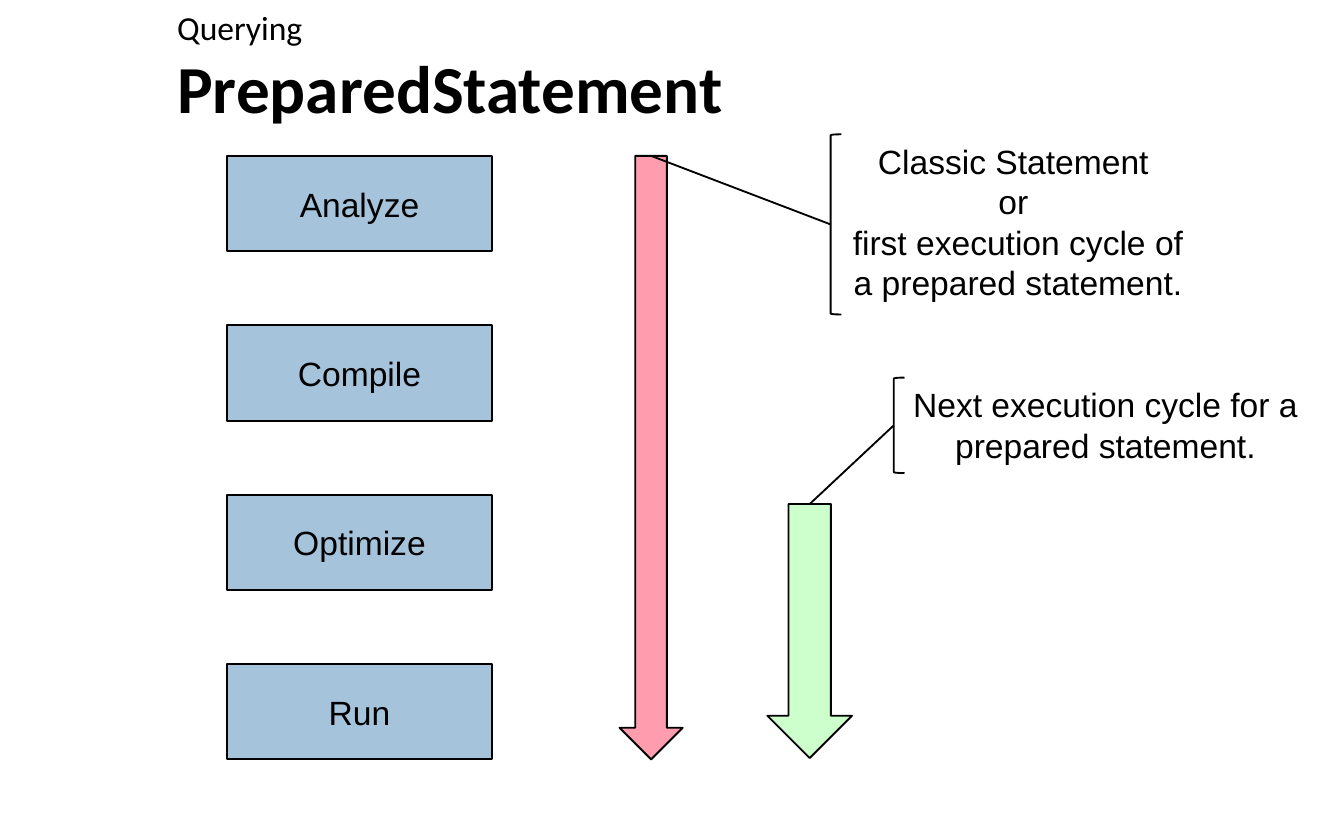
"""Build the PreparedStatement slide: query steps, cycle arrows and their captions."""
from lxml.etree import SubElement
from pptx import Presentation
from pptx.dml.color import RGBColor
from pptx.enum.shapes import MSO_CONNECTOR as Connector, MSO_SHAPE as Shape
from pptx.enum.text import MSO_ANCHOR as Anchor, PP_ALIGN as Align
from pptx.oxml.ns import qn
from pptx.util import Inches, Pt

BLACK = RGBColor(0x00, 0x00, 0x00)
BLUE = RGBColor(0xA5, 0xC3, 0xDB)
PINK = RGBColor(0xFF, 0x9C, 0xAE)
GREEN = RGBColor(0xCC, 0xFF, 0xCC)

HEADINGS = [
    ("PreparedStatement", (1.22, 0.37, 8.51, 0.55), 36, True, Anchor.MIDDLE),
    ("Querying", (1.22, 0, 8.51, 0.37), 18, False, Anchor.TOP),
]
STEPS = ["Analyze", "Compile", "Optimize", "Run"]
STEP_LEFT, STEP_TOP, STEP_WIDTH, STEP_HEIGHT, STEP_PITCH = 1.69, 1.16, 1.97, 0.71, 1.26
CYCLES = [
    {
        "arrow": (4.61, 1.16, 0.47, 4.49),
        "fill": PINK,
        "caption": ["Classic Statement ", "or ",
                    "first execution cycle of a prepared statement."],
        "caption_box": (6.21, 1, 2.73, 1.31),
        "bracket": (6.18, 1, 0.08, 1.34),
    },
    {
        "arrow": (5.71, 3.75, 0.63, 1.89),
        "fill": GREEN,
        "caption": ["Next execution cycle for a prepared statement."],
        "caption_box": (6.65, 2.81, 3.15, 0.71),
        "bracket": (6.65, 2.81, 0.08, 0.71),
    },
]


def write(shape, lines, font_name="Arial", size=18, bold=False,
          align=Align.CENTER, anchor=Anchor.TOP, wrap=True):
    frame = shape.text_frame
    frame.word_wrap = wrap
    frame.vertical_anchor = anchor
    frame.text = "\n".join(lines)
    for paragraph in frame.paragraphs:
        paragraph.alignment = align
        paragraph.font.name = font_name
        paragraph.font.size = Pt(size)
        paragraph.font.bold = bold
        paragraph.font.color.rgb = BLACK


def add_text(slide, box, lines, **style):
    write(slide.shapes.add_textbox(*map(Inches, box)), lines, **style)


def add_outlined(slide, kind, box, fill=None):
    shape = slide.shapes.add_shape(kind, *map(Inches, box))
    shape.shadow.inherit = False
    if fill is None:
        shape.fill.background()
    else:
        shape.fill.solid()
        shape.fill.fore_color.rgb = fill
    shape.line.color.rgb = BLACK
    shape.line.width = Pt(1)
    return shape


def add_leader(slide, bracket, arrow):
    leader = slide.shapes.add_connector(Connector.STRAIGHT, 0, 0, 0, 0)
    leader.begin_connect(bracket, 1)
    leader.end_connect(arrow, 0)
    leader.line.color.rgb = BLACK
    leader.line.width = Pt(1)
    SubElement(leader._element.spPr, qn("a:effectLst"))


def main():
    presentation = Presentation()
    presentation.slide_width = Inches(10)
    presentation.slide_height = Inches(6.25)
    slide = presentation.slides.add_slide(presentation.slide_layouts[6])

    for text, box, size, bold, anchor in HEADINGS:
        add_text(slide, box, [text], font_name="Calibri", size=size, bold=bold,
                 align=Align.LEFT, anchor=anchor)

    for index, step in enumerate(STEPS):
        box = (STEP_LEFT, STEP_TOP + index * STEP_PITCH, STEP_WIDTH, STEP_HEIGHT)
        write(add_outlined(slide, Shape.RECTANGLE, box, BLUE), [step],
              anchor=Anchor.MIDDLE, wrap=False)

    for cycle in CYCLES:
        arrow = add_outlined(slide, Shape.DOWN_ARROW, cycle["arrow"], cycle["fill"])
        add_text(slide, cycle["caption_box"], cycle["caption"])
        bracket = add_outlined(slide, Shape.LEFT_BRACKET, cycle["bracket"])
        add_leader(slide, bracket, arrow)

    presentation.save("out.pptx")


if __name__ == "__main__":
    main()
